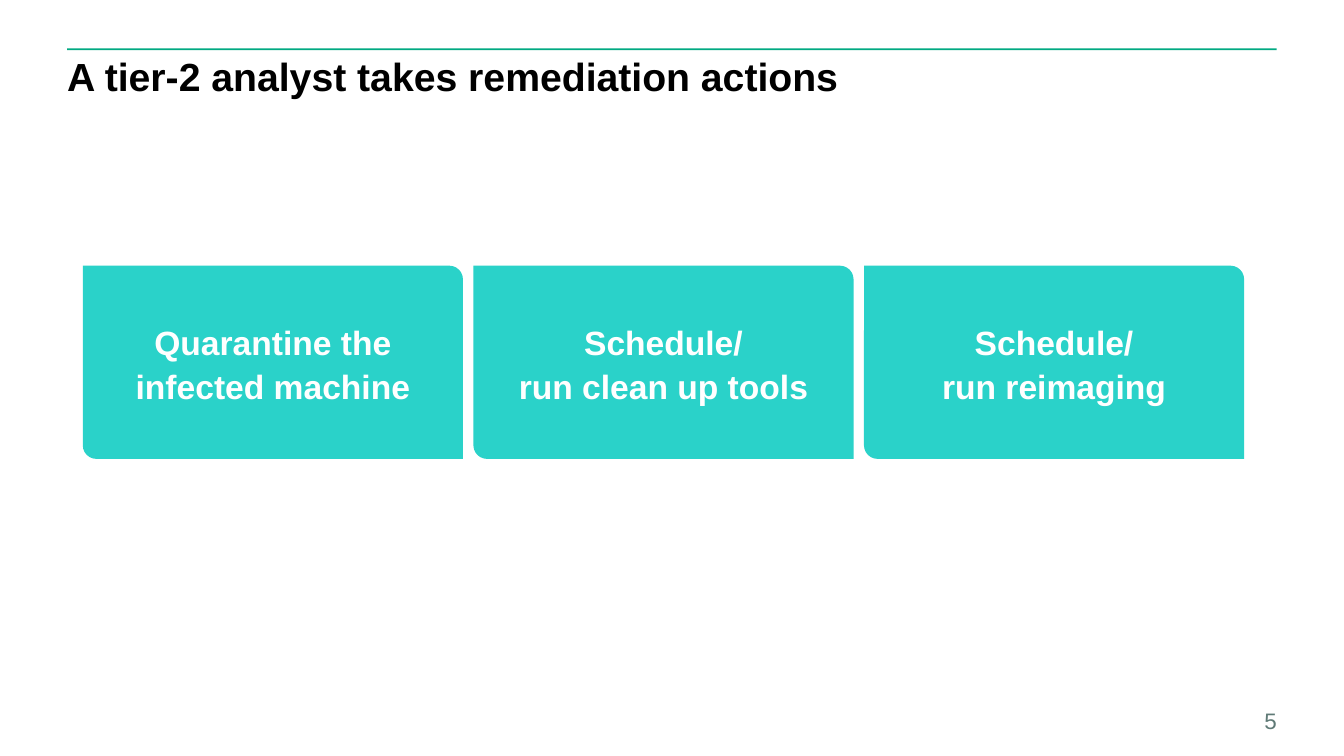
import pptx
import pptx.util
import pptx.dml.color
import pptx.enum.shapes
import pptx.enum.text

Pt = pptx.util.Pt
RGBColor = pptx.dml.color.RGBColor
SHAPE = pptx.enum.shapes.MSO_SHAPE
ALIGN = pptx.enum.text.PP_ALIGN
ANCHOR = pptx.enum.text.MSO_ANCHOR

GREEN = RGBColor(0x01, 0xA9, 0x82)
TURQUOISE = RGBColor(0x2A, 0xD2, 0xC9)
BLACK = RGBColor(0x00, 0x00, 0x00)
WHITE = RGBColor(0xFF, 0xFF, 0xFF)
GREY = RGBColor(0x5F, 0x7A, 0x76)
FONT = "Arial"

MARGIN, CONTENT_WIDTH = 48, 864
ACTIONS = [
    ("Quarantine the", "infected machine"),
    ("Schedule/", "run clean up tools"),
    ("Schedule/", "run reimaging"),
]


def add_block(slide, preset, left, top, width, height, color):
    block = slide.shapes.add_shape(preset, Pt(left), Pt(top), Pt(width), Pt(height))
    block.shadow.inherit = False
    block.fill.solid()
    block.fill.fore_color.rgb = color
    block.line.fill.background()
    return block


def write(frame, lines, size, color, bold=False, align=ALIGN.LEFT, anchor=ANCHOR.TOP):
    """Fill a text frame with one paragraph of broken lines and return it."""
    frame.margin_left = frame.margin_right = frame.margin_top = frame.margin_bottom = 0
    frame.vertical_anchor = anchor
    frame.word_wrap = True
    paragraph = frame.paragraphs[0]
    paragraph.alignment = align
    for index, line in enumerate(lines):
        if index:
            paragraph.add_line_break()
        run = paragraph.add_run()
        run.text = line
        run.font.name = FONT
        run.font.size = Pt(size)
        run.font.bold = bold
        run.font.color.rgb = color
    return paragraph


def add_header(slide, left, top, width, height):
    # Rule above the title
    add_block(slide, SHAPE.RECTANGLE, left, top, width, 1.4, GREEN)
    # Title
    title = slide.shapes.add_textbox(Pt(left), Pt(top + 6.5), Pt(width), Pt(height - 6.5))
    paragraph = write(title.text_frame, ["A tier-2 analyst takes remediation actions"],
                      28, BLACK, bold=True)
    paragraph.line_spacing = 0.9


def add_actions(slide, left, top, width, height, gap=7.5):
    card_width = (width - gap * (len(ACTIONS) - 1)) / len(ACTIONS)
    for index, lines in enumerate(ACTIONS):
        card = add_block(slide, SHAPE.ROUND_2_DIAG_RECTANGLE,
                         left + index * (card_width + gap), top, card_width, height, TURQUOISE)
        # Round only the top right and bottom left corners
        card.adjustments[0] = 0
        card.adjustments[1] = 0.07
        paragraph = write(card.text_frame, lines, 24, WHITE, bold=True,
                          align=ALIGN.CENTER, anchor=ANCHOR.MIDDLE)
        paragraph.line_spacing = 1.1
        paragraph.space_before = Pt(12)


def add_slide_number(slide, left, top, width, height):
    number = slide.shapes.add_textbox(Pt(left), Pt(top), Pt(width), Pt(height))
    write(number.text_frame, ["5"], 16, GREY, align=ALIGN.RIGHT, anchor=ANCHOR.BOTTOM)


def main():
    deck = pptx.Presentation()
    deck.slide_width, deck.slide_height = Pt(960), Pt(540)
    slide = deck.slides.add_slide(deck.slide_layouts[6])
    add_header(slide, MARGIN, 34.5, CONTENT_WIDTH, 73.5)
    add_actions(slide, 59.2, 189.8, 829.5, 138)
    add_slide_number(slide, MARGIN + CONTENT_WIDTH - 42, 506.5, 42, 18)
    deck.save("out.pptx")


if __name__ == "__main__":
    main()
